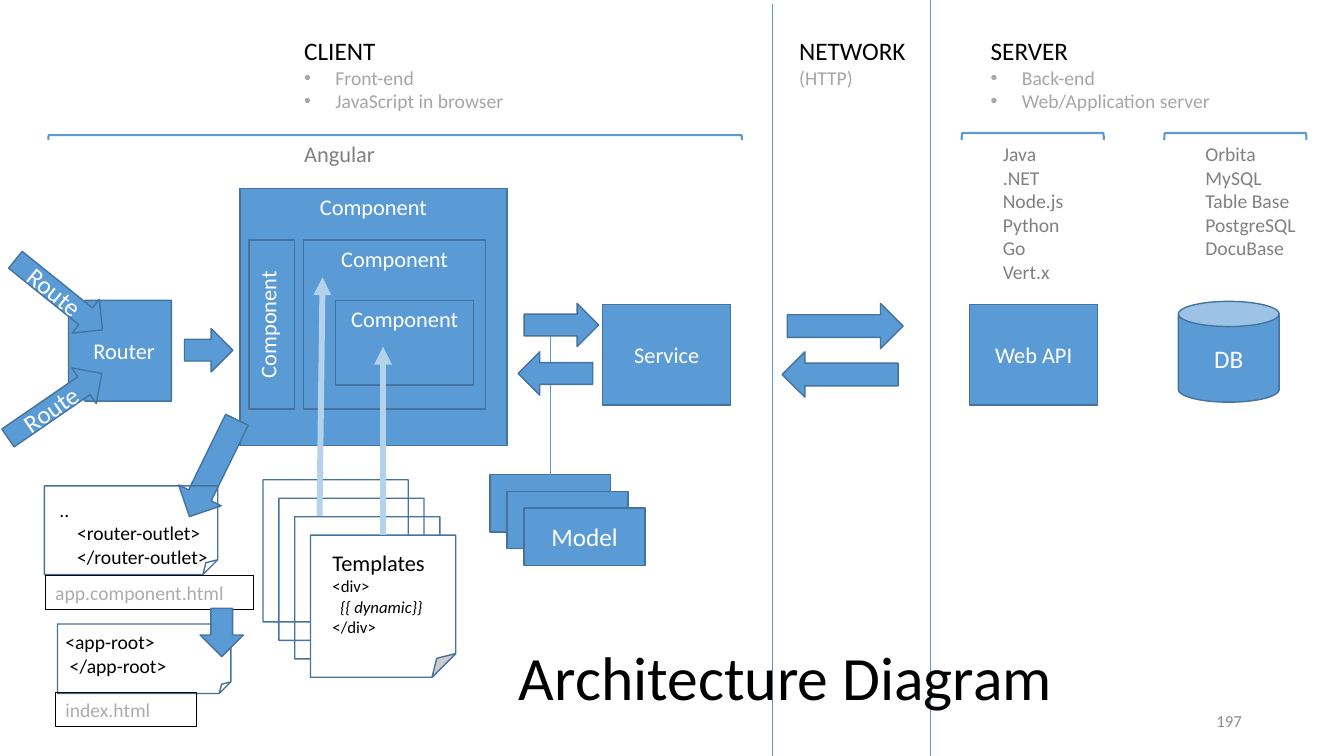
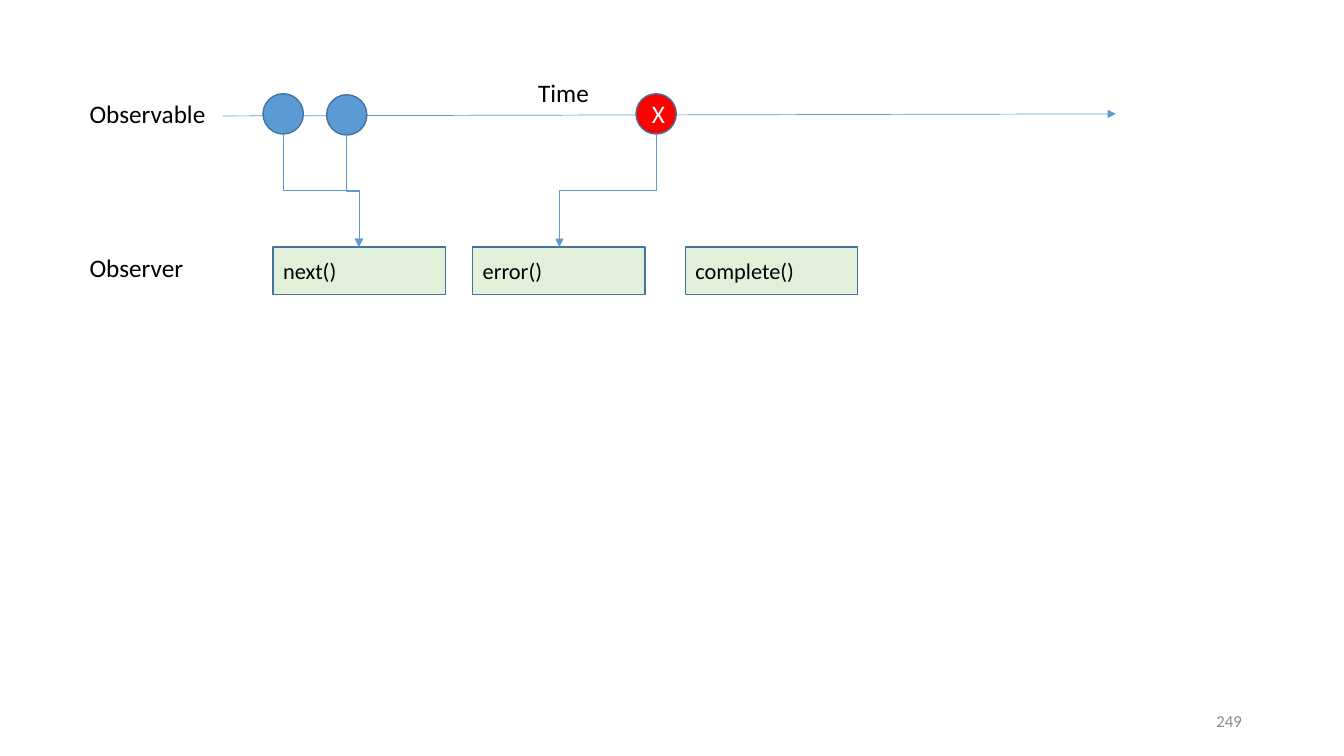
from lxml import etree
from pptx import Presentation
from pptx.dml.color import RGBColor
from pptx.enum.shapes import MSO_CONNECTOR as CONN, MSO_SHAPE as SHAPE
from pptx.enum.text import MSO_ANCHOR as ANCHOR, PP_ALIGN as ALIGN
from pptx.oxml.ns import qn
from pptx.util import Emu, Inches, Pt

# Shared look; the grid has cells of a tenth of an inch
CELL = Inches(0.1)
COLS, ROWS = 133.33, 75
FONT = "Calibri"
BLUE, EDGE, PALE = "5B9BD5", "43739E", "B5D2EC"
BLACK, WHITE, RED, GREEN = "000000", "FFFFFF", "FF0000", "E2F0D9"
GREY, LIGHT, FILE_GREY, NUMBER = "808080", "A6A6A6", "AFABAB", "8C8C8C"


def grid(*cells):
    return [Emu(round(c * CELL)) for c in cells]


def rgb(code):
    return RGBColor.from_string(code)


def add_bullet(p):
    pPr = p._p.get_or_add_pPr()
    pPr.set("marL", str(Inches(0.31)))
    pPr.set("indent", str(-Inches(0.31)))
    etree.SubElement(pPr, qn("a:buFont")).set("typeface", "Arial")
    etree.SubElement(pPr, qn("a:buChar")).set("char", "•")


def write(tf, lines, align=ALIGN.LEFT):
    """Each line is (text, size, colour) with an optional 'bullet' or 'italic'."""
    for i, (text, size, color, *style) in enumerate(lines):
        p = tf.paragraphs[0] if i == 0 else tf.add_paragraph()
        p.alignment = align
        if "bullet" in style:
            add_bullet(p)
        r = p.add_run()
        r.text = text
        r.font.name, r.font.size = FONT, Pt(size)
        r.font.italic = "italic" in style
        r.font.color.rgb = rgb(color)


def same(texts, size, color, *style):
    return [(t, size, color, *style) for t in texts]


def add_text(s, box, lines, align=ALIGN.LEFT, anchor=ANCHOR.TOP, wrap=True):
    tf = s.shapes.add_textbox(*grid(*box)).text_frame
    tf.word_wrap = wrap
    tf.vertical_anchor = anchor
    write(tf, lines, align)


def add_shape(s, kind, box, fill=BLUE, edge=EDGE, weight=1, rot=0, lines=(),
              align=ALIGN.CENTER, anchor=ANCHOR.MIDDLE, vert=None):
    sp = s.shapes.add_shape(kind, *grid(*box))
    sp.shadow.inherit = False
    sp.rotation = rot
    if fill:
        sp.fill.solid()
        sp.fill.fore_color.rgb = rgb(fill)
    else:
        sp.fill.background()
    sp.line.color.rgb = rgb(edge)
    sp.line.width = Pt(weight)
    tf = sp.text_frame
    tf.word_wrap = True
    tf.vertical_anchor = anchor
    if vert:
        tf._txBody.find(qn("a:bodyPr")).set("vert", vert)
    write(tf, lines, align)
    return sp


def add_block(s, box, label, size=16, kind=SHAPE.RECTANGLE, **look):
    return add_shape(s, kind, box, lines=[(label, size, WHITE)], **look)


def add_arrow(s, box, rot=0, label=None):
    lines = [(label, 18, WHITE)] if label else ()
    return add_shape(s, SHAPE.RIGHT_ARROW, box, rot=rot, lines=lines)


def add_bracket(s, left, top, width, depth):
    """A bracket that opens downwards: a left bracket turned by 90 degrees."""
    box = (left + (width - depth) / 2, top - (width - depth) / 2, depth, width)
    add_shape(s, SHAPE.LEFT_BRACKET, box, fill=None, edge=BLUE, weight=1.5, rot=90)


def add_page(s, box, fill=None):
    add_shape(s, SHAPE.FOLDED_CORNER, box, fill=fill)


def add_file_name(s, box, name):
    add_shape(s, SHAPE.RECTANGLE, box, fill=None, edge=BLACK, weight=0.75,
              lines=[(name, 14, FILE_GREY)], align=ALIGN.LEFT, anchor=ANCHOR.TOP)


def add_line(s, start, end, color=BLUE, weight=0.5, head=False, kind=CONN.STRAIGHT):
    c = s.shapes.add_connector(kind, *grid(*start, *end))
    c.line.color.rgb = rgb(color)
    c.line.width = Pt(weight)
    if head:
        etree.SubElement(c.line._get_or_add_ln(), qn("a:tailEnd")).set("type", "triangle")
    etree.SubElement(c._element.spPr, qn("a:effectLst"))
    return c


def add_drop(s, start, end):
    """An elbow arrow that leaves and arrives vertically."""
    (x1, y1), (x2, y2) = start, end
    cx, cy = (x1 + x2) / 2, (y1 + y2) / 2
    side = 1 if x2 > x1 else -1
    half_w, half_h = side * (y2 - y1) / 2, abs(x2 - x1) / 2
    c = add_line(s, (cx + half_w, cy - half_h), (cx - half_w, cy + half_h),
                 head=True, kind=CONN.ELBOW)
    turn = 270 if side > 0 else 90
    c._element.spPr.find(qn("a:xfrm")).set("rot", str(turn * 60000))


def new_slide(prs):
    return prs.slides.add_slide(prs.slide_layouts[6])


def add_number(s, number):
    add_text(s, (94.2, 69.5, 30, 4), [(number, 12, NUMBER)], ALIGN.RIGHT, ANCHOR.MIDDLE)


def architecture(prs):
    s = new_slide(prs)

    # Main blocks
    add_block(s, (6.9, 29.7, 10, 10.2), "Router", kind=SHAPE.SNIP_2_SAME_RECTANGLE,
              rot=270, vert="vert")
    add_block(s, (23.8, 18.7, 26.5, 25.5), "Component", anchor=ANCHOR.TOP)
    for left, label in ((59.8, "Service"), (96.2, "Web API")):
        add_block(s, (left, 30.2, 12.7, 10), label)
    add_block(s, (116.9, 29.9, 10, 10), "DB", 18, SHAPE.CAN)

    # Zone headings and dividers
    for left, name, points in (
            (29.2, "CLIENT", ["Front-end", "JavaScript in browser"]),
            (97.3, "SERVER", ["Back-end", "Web/Application server"])):
        add_text(s, (left, 3, 28.4, 8.8),
                 [(name, 18, BLACK), *same(points, 14, LIGHT, "bullet")])
    add_text(s, (78.3, 3, 28.4, 6.4), [("NETWORK", 18, BLACK), ("(HTTP)", 14, LIGHT)])
    add_line(s, (76.6, 0.4), (76.6, ROWS))
    add_line(s, (92.3, 0), (92.3, ROWS))

    # Technologies under brackets
    add_bracket(s, 4.8, 13.4, 68.8, 0.5)
    add_text(s, (29.2, 13.4, 39.3, 3.7), [("Angular", 16, GREY)])
    for left, width, names in (
            (95.4, 8.1, ["Java", ".NET", "Node.js", "Python", "Go", "Vert.x"]),
            (115.5, 11, ["Orbita", "MySQL", "Table Base", "PostgreSQL", "DocuBase"])):
        add_bracket(s, left, 13.2, 14.1, 0.7)
        add_text(s, (left + 3.1, 13.6, width, 15.1), same(names, 14, GREY))

    # Nested components
    for box, vert in (((30.1, 23.8, 18.1, 16.8), None),
                      ((33.3, 29.8, 13.7, 8.4), None),
                      ((24.7, 23.8, 4.5, 16.8), "vert270")):
        add_block(s, box, "Component", anchor=ANCHOR.TOP, vert=vert)

    # Stack of models, linked to the service calls
    for i in range(3):
        box = (48.6 + 1.7 * i, 47.1 + 1.65 * i, 12, 5.7)
        if i < 2:
            add_shape(s, SHAPE.RECTANGLE, box)
        else:
            add_block(s, box, "Model", 18)
    add_line(s, (54.6, 47.1), (54.6, 33.3))

    # Calls and replies
    for box, rot in (((78.1, 30.1, 11.5, 4.5), 0), ((77.6, 34.9, 11.5, 4.5), 180),
                     ((52, 30.1, 7.4, 4.3), 0), ((51.4, 34.9, 7.4, 4.3), 180),
                     ((18.3, 32.6, 4.8, 4.3), 0)):
        add_arrow(s, box, rot)

    # Routes
    add_arrow(s, (0.3, 27.1, 11.1, 4.3), 38.8, "Route")
    add_arrow(s, (-0.2, 38.1, 11.3, 4.3), 325.5, "Route")

    # Root files
    add_text(s, (4.9, 48.9, 16.9, 10.4),
             same(["..", "    <router-outlet>", "    </router-outlet>"], 14, BLACK), wrap=False)
    add_arrow(s, (15.8, 44.1, 10.7, 4.7), 116.1).adjustments[0] = 0.53
    add_page(s, (4.4, 48.2, 17.2, 8.8))
    add_file_name(s, (4.5, 57.1, 20.7, 3.4), "app.component.html")
    add_page(s, (5.7, 61.9, 17.2, 6.9))
    add_text(s, (5.5, 62, 12.6, 5.7), same(["<app-root>", " </app-root>"], 14, BLACK), wrap=False)
    add_file_name(s, (5.5, 68.7, 14, 3.4), "index.html")
    add_arrow(s, (19.6, 60.6, 4.8, 4.3), 90)

    # Stack of templates
    for i in range(4):
        add_page(s, (26.1 + 1.57 * i, 47.6 + 1.83 * i, 14.4, 14.1), WHITE if i == 3 else None)
    add_text(s, (32, 54, 16.3, 9.8),
             [("Templates", 16, BLACK), ("<div>", 12, BLACK),
              ("  {{ dynamic}}", 12, BLACK, "italic"), ("</div>", 12, BLACK)])
    for start, end in (((38, 53.1), (38, 34.4)), ((31.7, 51.2), (32, 27.5))):
        add_line(s, start, end, PALE, 4.25, head=True)

    # Title
    add_text(s, (50.5, 62.9, 55.5, 8.4), [("Architecture Diagram", 44, BLACK)], wrap=False)
    add_number(s, "197")


def observable(prs):
    s = new_slide(prs)

    # Time line with events
    add_line(s, (22.1, 11.5), (110.7, 11.3), head=True)
    for box, label in (((7.9, 9.3, 14.2, 4), "Observable"),
                       ((7.9, 24.5, 11.4, 4), "Observer"),
                       ((52.4, 7.2, 10.7, 4), "Time")):
        add_text(s, box, [(label, 18, BLACK)])
    for left, top in ((26.1, 9.3), (32.4, 9.4)):
        add_shape(s, SHAPE.OVAL, (left, top, 4, 4))
    add_block(s, (63.1, 9.3, 4, 4), "X", 18, SHAPE.OVAL, ).fill.fore_color.rgb = rgb(RED)

    # Observer callbacks
    for left, label in ((27.1, "next()"), (46.9, "error()"), (68, "complete()")):
        add_shape(s, SHAPE.RECTANGLE, (left, 24.5, 17.1, 4.7), GREEN,
                  lines=[(label, 16, BLACK)], align=ALIGN.LEFT)

    # Event to callback
    for start, end_x in (((28.1, 13.3), 35.6), ((34.4, 13.5), 35.6), ((65.1, 13.3), 55.5)):
        add_drop(s, start, (end_x, 24.5))
    add_number(s, "249")


def main():
    prs = Presentation()
    prs.slide_width, prs.slide_height = grid(COLS, ROWS)
    architecture(prs)
    observable(prs)
    prs.save("out.pptx")


if __name__ == "__main__":
    main()
